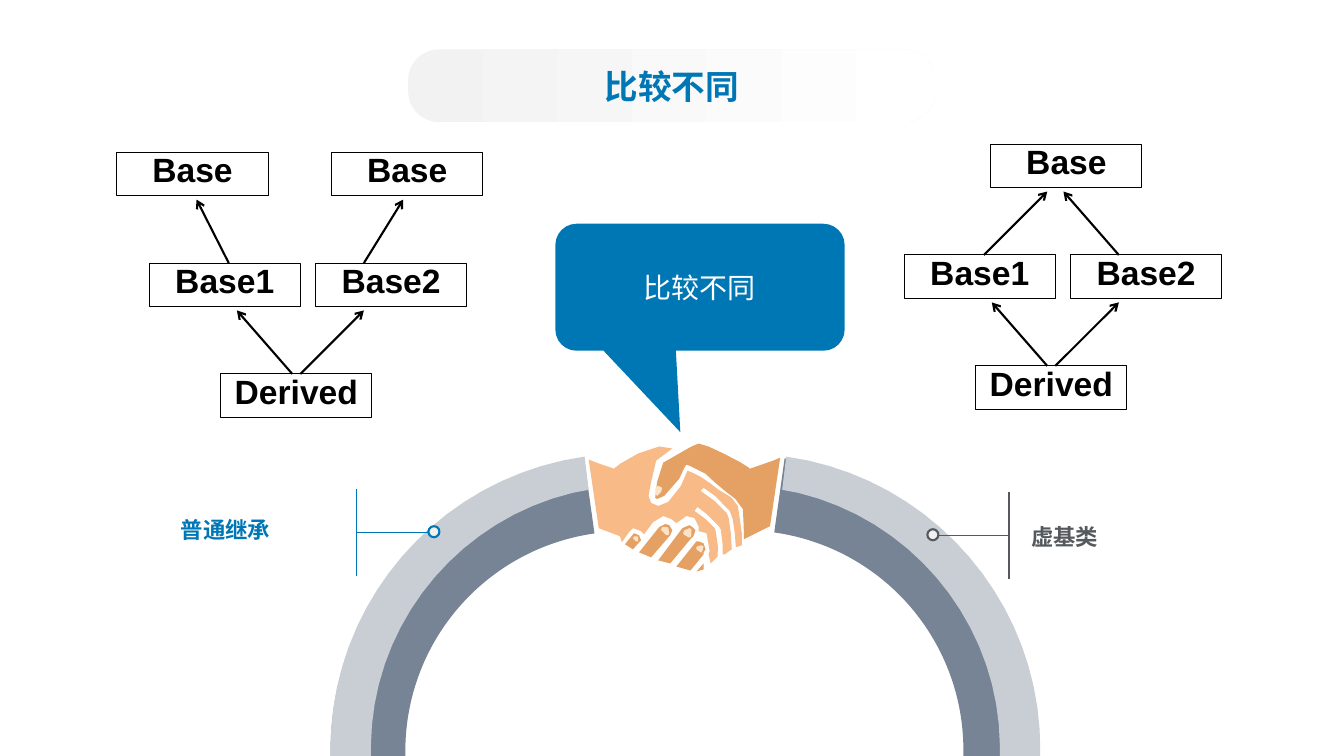
from math import dist
from lxml import etree
from pptx import Presentation
from pptx.dml.color import RGBColor
from pptx.enum.shapes import MSO_CONNECTOR, MSO_SHAPE
from pptx.enum.text import MSO_ANCHOR, PP_ALIGN
from pptx.oxml.ns import qn
from pptx.util import Pt

PX = 9144
TITLE_ONLY = 5
STRAIGHT = MSO_CONNECTOR.STRAIGHT
RECT, OVAL = MSO_SHAPE.RECTANGLE, MSO_SHAPE.OVAL
ROUND, ARC = MSO_SHAPE.ROUNDED_RECTANGLE, MSO_SHAPE.BLOCK_ARC
CALLOUT = MSO_SHAPE.ROUNDED_RECTANGULAR_CALLOUT
TOP, MIDDLE = MSO_ANCHOR.TOP, MSO_ANCHOR.MIDDLE
LEFT, CENTER, RIGHT = PP_ALIGN.LEFT, PP_ALIGN.CENTER, PP_ALIGN.RIGHT
CJK = "Noto Sans CJK SC"
COLORS = {"blue": "0077B5", "gray": "55595D", "white": "FFFFFF", "black": "000000",
          "slate": "778495", "silver": "C9CED5", "tan": "E5A163", "peach": "F8BA87",
          "nail": "FDE2C7", "dot": "F0F0F0", "mist": "F2F2F2"}

FINGERS = [
    [(688, 532), (690, 526), (687, 523), (684, 521), (677, 524), (653, 556), (665, 559), (685, 535)],
    [(667, 526), (664, 521), (660, 520), (654, 523), (634, 548), (646, 553), (665, 531)],
    [(693, 537), (691, 537), (671, 562), (685, 566), (698, 550), (698, 548), (700, 545), (698, 539)],
    [(634, 531), (629, 529), (620, 540), (628, 545), (636, 536)],
    [(691, 567), (698, 565), (698, 559)],
]
BACK_HAND = [
    (693, 440), (696, 440, 700, 442, 703, 443), (717, 449, 740, 461, 743, 464), (744, 465),
    (767, 457), (774, 454), (764, 522), (762, 523), (738, 535), (738, 529, 738, 518, 737, 505),
    (734, 497, 726, 492, 718, 486), (712, 481, 706, 476, 700, 470), (690, 465), (684, 462),
    (681, 461), (679, 464), (679, 464, 672, 484, 659, 492), (658, 494, 655, 495, 652, 495),
    (650, 494), (649, 494, 647, 491, 652, 478), (658, 459), (686, 443), (686, 443, 689, 440, 693, 440)]
FRONT_HAND = [
    (654, 443), (659, 442, 663, 444, 667, 445), (651, 457), (646, 478), (642, 490, 643, 496, 646, 499),
    (646, 501, 650, 502, 653, 502), (657, 501, 662, 498, 663, 498), (673, 490, 680, 474, 682, 467),
    (687, 469), (695, 473), (700, 477, 708, 481, 713, 486), (722, 491, 730, 495, 732, 502),
    (737, 523, 736, 539, 736, 539), (736, 541), (735, 543, 733, 543, 730, 543), (729, 529),
    (728, 518, 726, 510, 724, 507), (720, 498, 698, 484, 698, 484), (695, 487),
    (701, 491, 718, 503, 721, 509), (722, 510, 724, 516, 725, 529), (726, 545),
    (726, 546, 725, 550, 719, 550), (717, 550), (717, 546, 717, 533, 715, 525), (713, 522),
    (709, 514, 693, 505, 692, 503), (689, 507), (694, 511, 707, 519, 709, 524), (710, 527),
    (713, 535, 712, 549, 712, 552), (713, 554, 710, 559, 705, 559), (703, 550), (704, 547),
    (709, 541, 706, 534, 701, 529), (693, 527), (693, 522), (693, 519, 691, 516, 689, 514), (681, 512),
    (677, 512, 674, 514, 671, 519), (666, 515), (664, 513, 661, 512, 658, 512),
    (654, 513, 651, 514, 648, 518), (639, 530), (636, 527), (634, 525, 631, 524, 628, 524),
    (627, 524, 624, 526, 624, 528), (617, 538), (615, 532), (599, 526), (594, 524),
    (584, 456), (592, 459, 599, 462, 609, 465), (609, 464, 634, 446, 654, 443)]
NAILS = [
    [(651, 483), (650, 486), (651, 491), (652, 492), (656, 488), (657, 484), (653, 482)],
    [(663, 531), (664, 529), (663, 524), (662, 523), (657, 523), (656, 525), (656, 526), (661, 531)],
    [(685, 533), (686, 531), (686, 525), (684, 524), (679, 526), (678, 528), (678, 530), (683, 533)],
    [(696, 548), (697, 546), (698, 542), (696, 541), (692, 542), (691, 543), (691, 545), (695, 548)],
    [(633, 537), (633, 533), (632, 532), (629, 532), (628, 534), (631, 537)],
]
LIGHT_ARC = [(580, 453), (584, 486), (568, 489), (452, 517, 369, 621, 368, 740), (368, 764),
             (329, 767), (316, 613, 426, 475, 580, 453)]
MIRROR = 1360


def rgb(name):
    """Return the named colour."""
    return RGBColor.from_string(COLORS[name])


def add_text(sp, text, size, color, bold=False, align=CENTER, anchor=MIDDLE, font="Arial", inset=None):
    """Write one formatted paragraph into a shape and return it."""
    tf = sp.text_frame
    tf.word_wrap, tf.vertical_anchor = True, anchor
    if inset is not None:
        for side in ("left", "top", "right", "bottom"):
            setattr(tf, f"margin_{side}", inset * PX)
    p = tf.paragraphs[0]
    p.alignment = align
    r = p.add_run()
    r.text = text
    for key, value in {"size": Pt(size), "bold": bold, "name": font}.items():
        setattr(r.font, key, value)
    r.font.color.rgb = rgb(color)
    etree.SubElement(r.font._element, qn("a:ea"), typeface=CJK)
    return p


def paint(sp, fill=None, line=None, width=1):
    """Set a shape's fill and line and drop its shadow."""
    sp.shadow.inherit = False
    if fill:
        sp.fill.solid()
        sp.fill.fore_color.rgb = rgb(fill)
    else:
        sp.fill.background()
    if line:
        sp.line.color.rgb = rgb(line)
        sp.line.width = Pt(width)
    else:
        sp.line.fill.background()


def add_box(shapes, kind, box, adjustments=(), **style):
    """Add a painted preset shape in a px box."""
    sp = shapes.add_shape(kind, *(v * PX for v in box))
    for i, value in enumerate(adjustments):
        sp.adjustments[i] = value
    paint(sp, **style)
    return sp


def add_line(shapes, start, end, color, width, arrow=False):
    """Add a straight line, with an open arrowhead at its end if asked."""
    sp = shapes.add_connector(STRAIGHT, *(v * PX for v in (*start, *end)))
    sp.line.color.rgb = rgb(color)
    sp.line.width = Pt(width)
    if arrow:
        etree.SubElement(sp.line._get_or_add_ln(), qn("a:tailEnd"), type="arrow")
    etree.SubElement(sp._element.spPr, qn("a:effectLst"))


def flatten(outline):
    """Turn points and cubic curves into EMU points, with more steps on longer curves."""
    points = [outline[0]]
    for item in outline[1:]:
        knots = (points[-1], item[:2], item[2:4], item[4:])
        steps = 1 + int(dist(points[-1], item[-2:]) // 20)
        if len(item) == 2:
            points.append(item)
            continue
        for i in range(1, steps + 1):
            t = i / steps
            weights = ((1 - t) ** 3, 3 * t * (1 - t) ** 2, 3 * t * t * (1 - t), t ** 3)
            points.append(tuple(sum(w * k[axis] for w, k in zip(weights, knots)) for axis in (0, 1)))
    return [(round(x * PX), round(y * PX)) for x, y in points]


def add_outline(shapes, outline, fill):
    """Add a filled closed outline."""
    points = flatten(outline)
    builder = shapes.build_freeform(*points[0])
    builder.add_line_segments(points[1:], close=True)
    paint(builder.convert_to_shape(), fill)


def add_handshake(shapes):
    """Draw the two sleeves and the clasped hands."""
    add_box(shapes, ARC, (328, 453, 584, 584), (105.04, 157.22, 0.127), fill="slate")
    add_box(shapes, ARC, (446, 452, 584, 584), (166.78, 2.96, 0.127), fill="slate")
    mirrored = [tuple(v if i % 2 else MIRROR - v for i, v in enumerate(item)) for item in LIGHT_ARC]
    for outlines, fill in ((FINGERS, "tan"), ([BACK_HAND], "tan"), ([FRONT_HAND], "peach"),
                           (NAILS, "nail"), ([LIGHT_ARC, mirrored], "silver")):
        for outline in outlines:
            add_outline(shapes, outline, fill)


def add_label(shapes, text, text_box, stem, side, color, align, anchor):
    """Draw a stem, an arm towards the sleeve with its dot, and the label."""
    x, y = stem
    mid = y + 43
    add_line(shapes, (x, y), (x, y + 86), color, 1)
    add_line(shapes, (x + side * 80, mid), (x, mid), color, 1)
    add_box(shapes, OVAL, (x + side * 76 - 5, mid - 6, 11, 11), fill="dot", line=color, width=1.5)
    sp = shapes.add_textbox(*(v * PX for v in text_box))
    add_text(sp, text, 16, color, True, align, anchor, inset=0)


def add_class_diagram(shapes, x, y, bases, tips):
    """Draw an inheritance diagram whose Base1 box starts at x, y."""
    boxes = [("Derived", 71, 110), ("Base2", 165, 0), ("Base1", 0, 0)]
    boxes += [("Base", dx, -110) for dx in bases]
    for name, dx, dy in boxes:
        sp = add_box(shapes, RECT, (x + dx, y + dy, 150, 43), line="black", width=0.75)
        add_text(sp, name, 24, "black", True, anchor=TOP).line_spacing = 0.8
    arrows = ((150, 213, 110), (142, 87, 110), (79, tips[0], 0), (213, tips[1], 0))
    for start, tip, dy in arrows:
        add_line(shapes, (x + start, y + dy), (x + tip, y + dy - 63), "black", 1.5, True)


def add_title(slide, box):
    """Place the title on its gradient pill."""
    pill = add_box(slide.shapes, ROUND, box, (0.423,))
    pill.fill.gradient()
    pill.fill.gradient_angle = 0
    for stop, position, color in zip(pill.fill.gradient_stops, (0, 0.99), ("mist", "white")):
        stop.position, stop.color.rgb = position, rgb(color)
    title = slide.shapes.title
    for key, value in zip(("left", "top", "width", "height"), box):
        setattr(title, key, value * PX)
    add_text(title, "比较不同", 24, "blue", True, font=CJK)
    pill._element.addnext(title._element)


def main():
    """Build the slide and save it."""
    prs = Presentation()
    prs.slide_width, prs.slide_height = 4000 * PX // 3, 750 * PX
    slide = prs.slides.add_slide(prs.slide_layouts[TITLE_ONLY])
    shapes = slide.shapes
    add_handshake(shapes.add_group_shape().shapes)
    sp = add_box(shapes, CALLOUT, (551, 222, 287, 126), (-0.068, 1.141, 0.167), fill="blue")
    add_text(sp, "比较不同", 20, "white")
    for label in (("普通继承", (133, 512, 135, 27), (354, 485), 1, "blue", RIGHT, TOP),
                  ("虚基类", (1023, 519, 135, 27), (1001, 488), -1, "gray", LEFT, MIDDLE)):
        add_label(shapes.add_group_shape().shapes, *label)
    add_title(slide, (405, 49, 523, 72))
    for diagram in ((148, 261, (-32, 181), (47, 252)), (897, 253, (86,), (142, 158))):
        add_class_diagram(shapes.add_group_shape().shapes, *diagram)
    prs.save("out.pptx")


if __name__ == "__main__":
    main()
